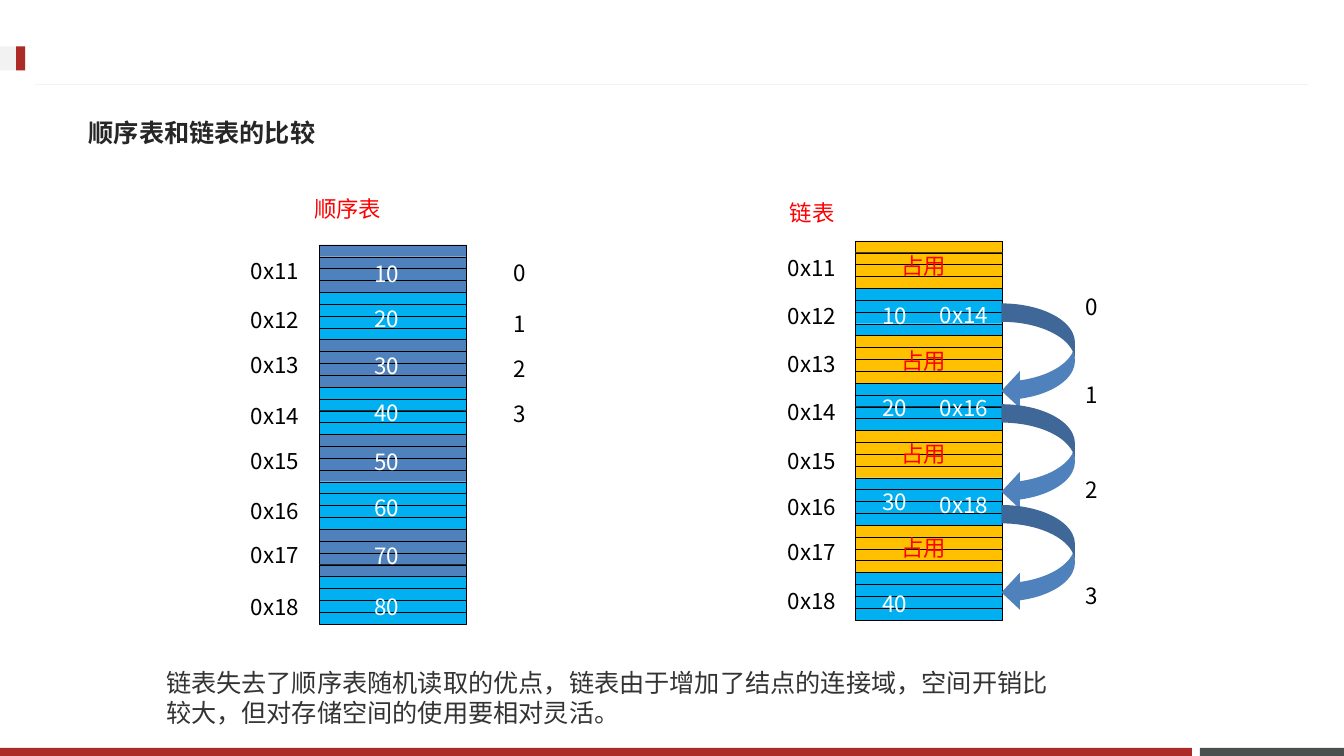
from lxml.etree import SubElement
from pptx import Presentation
from pptx.dml.color import RGBColor
from pptx.enum.shapes import MSO_CONNECTOR as Connector, MSO_SHAPE as Shape
from pptx.enum.text import MSO_ANCHOR as Anchor, MSO_AUTO_SIZE as AutoSize, PP_ALIGN as Align
from pptx.oxml.ns import qn
from pptx.util import Inches, Pt

BLUE, CYAN, AMBER = "4F81BD", "00B0F0", "FFC000"
RED, CRIMSON, GREY, PALE = "FF0000", "AD2B26", "49504F", "F2F2F2"
BLACK, WHITE = "000000", "FFFFFF"

CELLS = 8
BYTES_PER_CELL = 4
MEMORY_WIDTH, MEMORY_HEIGHT = 1.46, 3.76
ADDRESSES = [f"0x{11 + i}" for i in range(CELLS)]


def rgb(value):
    return RGBColor.from_string(value)


class SlideBuilder:
    font = "Noto Sans CJK SC"
    label_size = 16

    def __init__(self, slide):
        self.slide = slide
        self.shapes = slide.shapes

    def style(self, paragraph, size, color, font=None, bold=False):
        face = paragraph.font
        face.size, face.bold = Pt(size), bold
        face.name = font or self.font
        face.color.rgb = rgb(color)
        latin = face._element.find(qn("a:latin"))
        east_asian = SubElement(face._element, qn("a:ea"))
        east_asian.set("typeface", face.name)
        latin.addnext(east_asian)

    def title(self, text, left, top, width, height):
        heading = self.shapes.title
        heading.left, heading.top = Inches(left), Inches(top)
        heading.width, heading.height = Inches(width), Inches(height)
        frame = heading.text_frame
        frame.text = text
        frame.vertical_anchor = Anchor.MIDDLE
        paragraph = frame.paragraphs[0]
        paragraph.alignment = Align.LEFT
        self.style(paragraph, 18, "262626", "Noto Sans CJK JP", bold=True)

    def shape(self, kind, left, top, width, height, fill, outline=None):
        item = self.shapes.add_shape(
            kind, Inches(left), Inches(top), Inches(width), Inches(height))
        item.shadow.inherit = False
        item.fill.solid()
        item.fill.fore_color.rgb = rgb(fill)
        if outline:
            item.line.color.rgb = rgb(outline)
            item.line.width = Pt(0.25)
        else:
            item.line.fill.background()

    def rule(self, left, right, y, color):
        line = self.shapes.add_connector(
            Connector.STRAIGHT, Inches(left), Inches(y), Inches(right), Inches(y))
        line.line.color.rgb = rgb(color)
        line.line.width = Pt(0.75)
        SubElement(line._element.spPr, qn("a:effectLst"))

    def text(self, text, left, top, width, height=0.37, color=BLACK, size=None, wrap=False):
        size = size or self.label_size
        box = self.shapes.add_textbox(
            Inches(left), Inches(top), Inches(width), Inches(height))
        frame = box.text_frame
        frame.word_wrap = wrap
        frame.auto_size = AutoSize.SHAPE_TO_FIT_TEXT
        frame.margin_top = Inches(0.07)
        frame.margin_bottom = Inches(0.03)
        paragraph = frame.paragraphs[0]
        paragraph.text = text
        paragraph.line_spacing = Pt(1.2 * size)
        self.style(paragraph, size, color)
        return paragraph

    def labels(self, texts, left, tops, width, color=BLACK):
        for text, top in zip(texts, tops):
            self.text(text, left, top, width, color=color)

    def memory(self, left, top, colors):
        """A column of cells in alternating colours, each split into bytes."""
        band = MEMORY_HEIGHT / (CELLS * BYTES_PER_CELL)
        for i in range(CELLS * BYTES_PER_CELL):
            fill = colors[i // BYTES_PER_CELL % len(colors)]
            self.shape(Shape.RECTANGLE, left, top + i * band,
                       MEMORY_WIDTH, band, fill, BLACK)


def main():
    deck = Presentation()
    deck.slide_width, deck.slide_height = Inches(13.34), Inches(7.5)
    page = SlideBuilder(deck.slides.add_slide(deck.slide_layouts[5]))

    # Page frame and title
    page.shape(Shape.RECTANGLE, 11.91, 7.42, 1.43, 0.08, GREY)
    page.shape(Shape.RECTANGLE, 0, 7.42, 11.83, 0.08, CRIMSON)
    page.rule(0.35, 12.98, 0.84, PALE)
    page.shape(Shape.RECTANGLE, 0, 0.46, 0.25, 0.24, PALE)
    page.shape(Shape.RECTANGLE, 0.16, 0.46, 0.09, 0.24, CRIMSON)
    page.title("顺序表和链表的比较", 0.78, 1.03, 11.76, 0.57)

    # Sequential list: addresses, values, indexes
    page.text("顺序表", 3.02, 1.87, 0.88, color=RED)
    page.memory(3.17, 2.43, [BLUE, CYAN])
    page.labels(ADDRESSES, 2.39, [2.48, 2.97, 3.41, 3.92, 4.37, 4.86, 5.3, 5.81], 0.71)
    page.labels([str(10 * n) for n in range(1, CELLS + 1)], 3.62,
                [2.51, 2.96, 3.42, 3.89, 4.38, 4.83, 5.31, 5.81], 0.46, WHITE)
    page.labels("0123", 5, [2.5, 3.01, 3.45, 3.9], 0.33)

    # Linked list: addresses, occupied cells, nodes, pointers, indexes
    page.text("链表", 7.74, 1.91, 0.65, color=RED)
    page.memory(8.49, 2.39, [AMBER, CYAN])
    page.labels(ADDRESSES, 7.72, [2.45, 2.93, 3.4, 3.88, 4.37, 4.82, 5.27, 5.75], 0.71)
    page.labels(["占用"] * 4, 8.85, [2.43, 3.37, 4.3, 5.23], 0.65, RED)
    page.labels(["10", "20", "30", "40"], 8.66, [2.93, 3.84, 4.77, 5.78], 0.46, WHITE)
    for link in range(3):
        page.shape(Shape.CURVED_LEFT_ARROW, 9.94, 3.01 + link, 0.73, 1.05, BLUE)
    page.labels(["0x14", "0x16", "0x18"], 9.23, [2.92, 3.84, 4.8], 0.71, WHITE)
    page.labels("0123", 10.68, [2.84, 3.71, 4.65, 5.71], 0.33)

    # Conclusion
    conclusion = page.text(
        "链表失去了顺序表随机读取的优点，链表由于增加了结点的连接域，"
        "空间开销比较大，但对存储空间的使用要相对灵活",
        1.55, 6.55, 9.13, 0.71, "333333", 18, wrap=True)
    full_stop = conclusion.add_run()
    full_stop.text = "。"
    full_stop.font.name = "Arial"

    deck.save("out.pptx")


if __name__ == "__main__":
    main()
